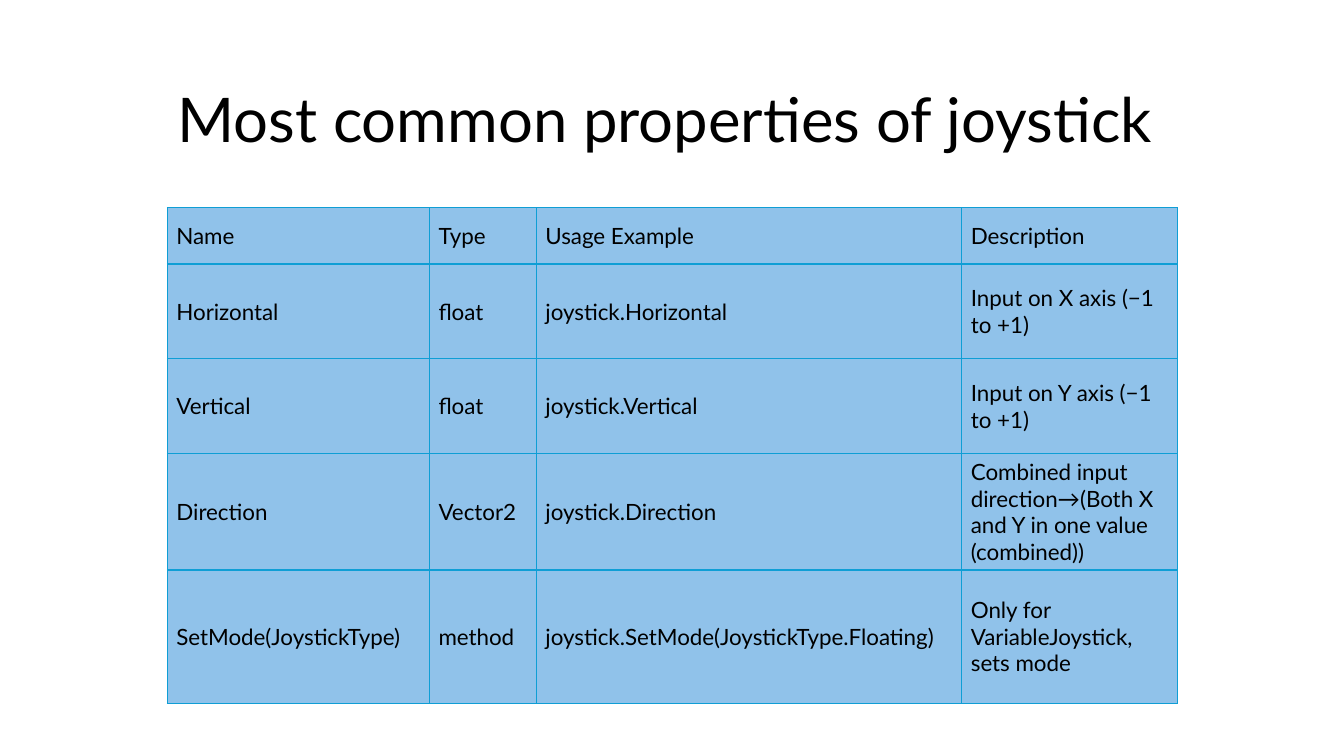
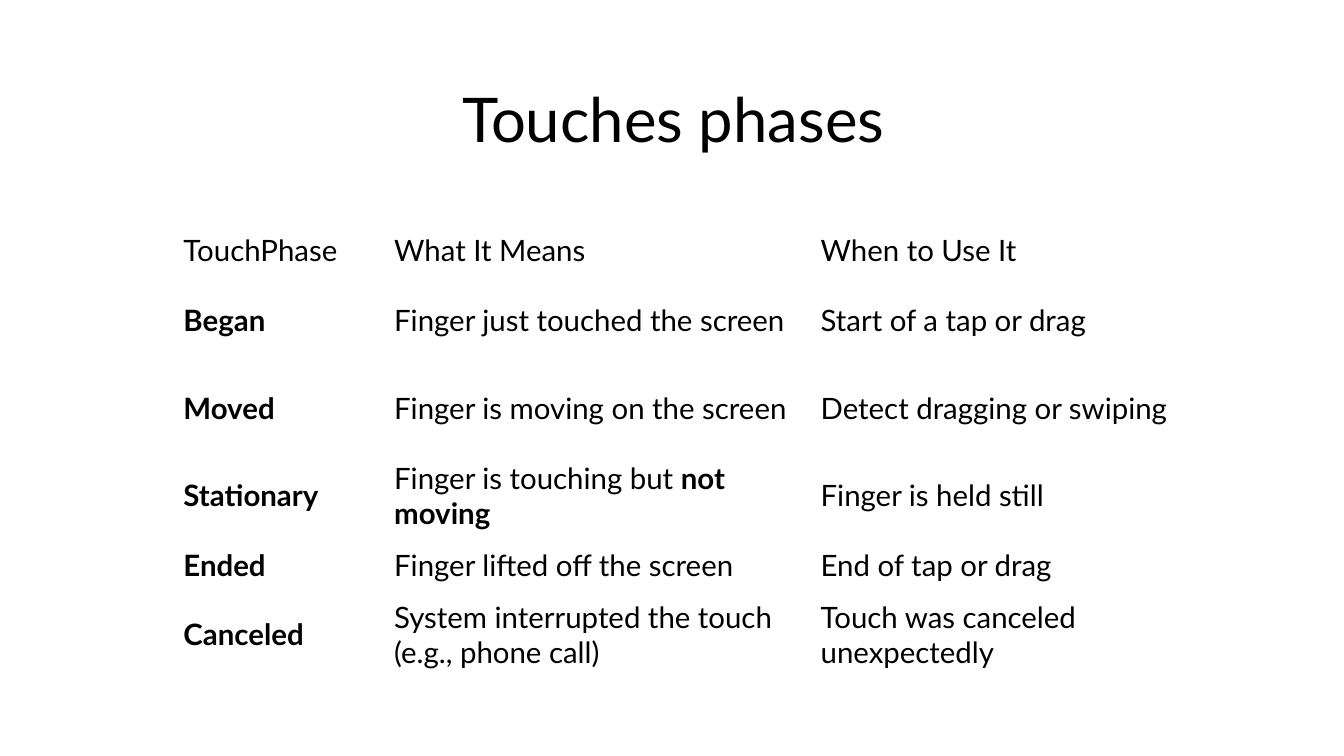
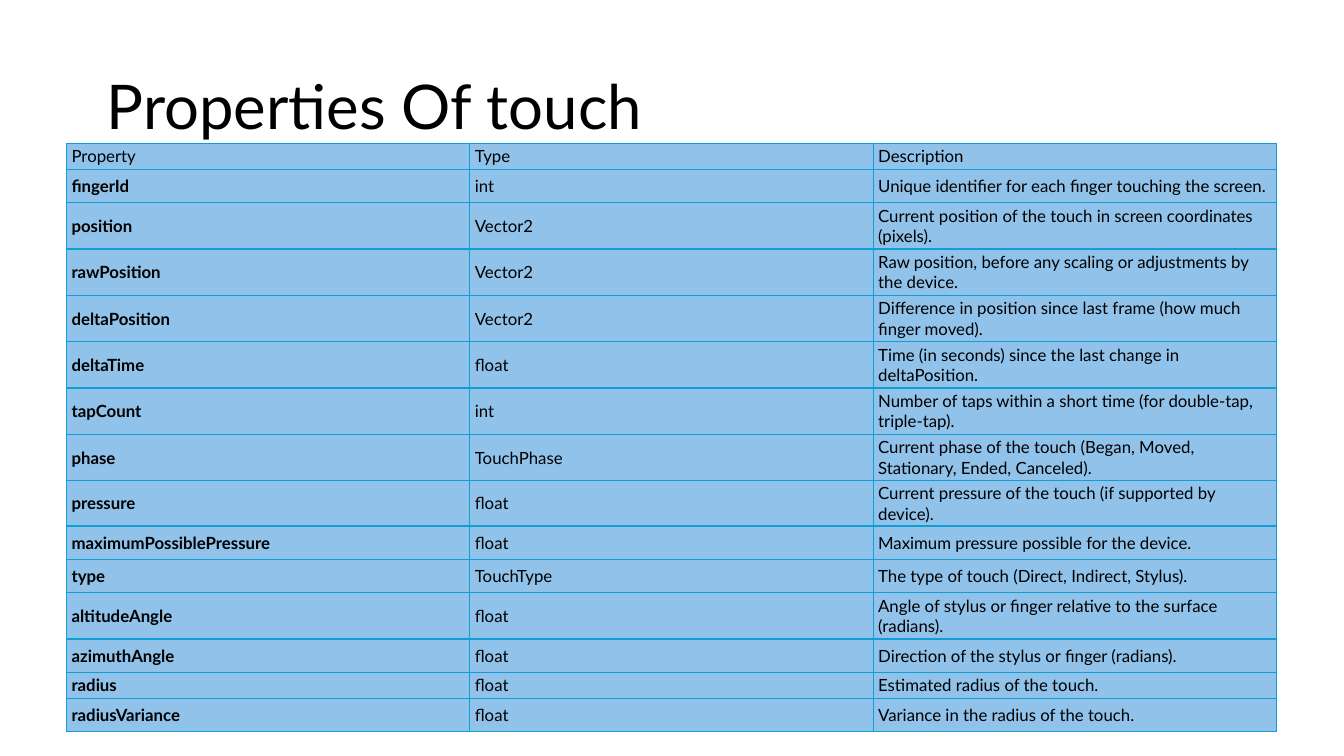
from lxml import etree
from pptx import Presentation
from pptx import util as u
from pptx.dml.color import RGBColor
from pptx.enum import text
from pptx.oxml.ns import qn

FONT = "Lato"
COLORS = {"ink": "000000", "cell": "90C2EA", "border": "0F9ED5"}
PLAIN_STYLE = "{2D5ABB26-0587-4C30-8999-92F81FD0307C}"

JOYSTICK_ROWS = [
    ("Name", "Type", "Usage Example", "Description"),
    ("Horizontal", "float", "joystick.Horizontal", "Input on X axis (−1 to +1)"),
    ("Vertical", "float", "joystick.Vertical", "Input on Y axis (−1 to +1)"),
    ("Direction", "Vector2", "joystick.Direction",
     "Combined input direction→(Both X and Y in one value (combined))"),
    ("SetMode(JoystickType)", "method", "joystick.SetMode(JoystickType.Floating)",
     "Only for VariableJoystick, sets mode"),
]

PHASE_ROWS = [
    ("TouchPhase", "What It Means", "When to Use It"),
    ("**Began**", "Finger just touched the screen", "Start of a tap or drag"),
    ("**Moved**", "Finger is moving on the screen", "Detect dragging or swiping"),
    ("**Stationary**", "Finger is touching but **not moving**", "Finger is held still"),
    ("**Ended**", "Finger lifted off the screen", "End of tap or drag"),
    ("**Canceled**", "System interrupted the touch (e.g., phone call)",
     "Touch was canceled unexpectedly"),
]

TOUCH_ROWS = [
    ("Property", "Type", "Description"),
    ("**fingerId**", "int", "Unique identifier for each finger touching the screen."),
    ("**position**", "Vector2",
     "Current position of the touch in screen coordinates (pixels)."),
    ("**rawPosition**", "Vector2",
     "Raw position, before any scaling or adjustments by the device."),
    ("**deltaPosition**", "Vector2",
     "Difference in position since last frame (how much finger moved)."),
    ("**deltaTime**", "float", "Time (in seconds) since the last change in deltaPosition."),
    ("**tapCount**", "int",
     "Number of taps within a short time (for double-tap, triple-tap)."),
    ("**phase**", "TouchPhase",
     "Current phase of the touch (Began, Moved, Stationary, Ended, Canceled)."),
    ("**pressure**", "float", "Current pressure of the touch (if supported by device)."),
    ("**maximumPossiblePressure**", "float", "Maximum pressure possible for the device."),
    ("**type**", "TouchType", "The type of touch (Direct, Indirect, Stylus)."),
    ("**altitudeAngle**", "float",
     "Angle of stylus or finger relative to the surface (radians)."),
    ("**azimuthAngle**", "float", "Direction of the stylus or finger (radians)."),
    ("**radius**", "float", "Estimated radius of the touch."),
    ("**radiusVariance**", "float", "Variance in the radius of the touch."),
]


def style_font(font, size):
    font.name = FONT
    font.size = u.Pt(size)
    font.color.rgb = RGBColor.from_string(COLORS["ink"])


def add_title(slide, wording, box, align=text.PP_ALIGN.LEFT):
    frame = slide.shapes.add_textbox(*map(u.Inches, box)).text_frame
    frame.word_wrap = True
    frame.vertical_anchor = text.MSO_ANCHOR.MIDDLE
    heading = frame.paragraphs[0]
    heading.text = wording
    heading.alignment = align
    heading.line_spacing = 0.9
    style_font(heading.font, 44)


def add_borders(cell):
    properties = cell._tc.get_or_add_tcPr()
    for side in ("lnL", "lnR", "lnT", "lnB"):
        line = etree.SubElement(properties, qn(f"a:{side}"), w=str(u.Pt(1)))
        fill = etree.SubElement(line, qn("a:solidFill"))
        etree.SubElement(fill, qn("a:srgbClr"), val=COLORS["border"])


def write_cell(cell, wording, size, inset):
    cell.vertical_anchor = text.MSO_ANCHOR.MIDDLE
    cell.margin_left = cell.margin_right = u.Inches(inset)
    cell.margin_top = cell.margin_bottom = u.Inches(inset / 2)
    entry = cell.text_frame.paragraphs[0]
    style_font(entry.font, size)
    for position, part in enumerate(wording.split("**")):
        if part:
            run = entry.add_run()
            run.text = part
            run.font.bold = position % 2 == 1


def add_grid(slide, rows, corner, widths, heights, size, inset, colored=True):
    extent = (sum(widths), sum(heights))
    table = slide.shapes.add_table(
        len(rows), len(widths), *map(u.Inches, (*corner, *extent))).table
    table.first_row = table.horz_banding = False
    table._tbl.tblPr.find(qn("a:tableStyleId")).text = PLAIN_STYLE
    for column, width in zip(table.columns, widths):
        column.width = u.Inches(width)
    for row, height, wordings in zip(table.rows, heights, rows):
        row.height = u.Inches(height)
        for cell, wording in zip(row.cells, wordings):
            write_cell(cell, wording, size, inset)
            if colored:
                add_borders(cell)
                cell.fill.solid()
                cell.fill.fore_color.rgb = RGBColor.from_string(COLORS["cell"])
            else:
                cell.fill.background()


def main():
    deck = Presentation()
    deck.slide_width, deck.slide_height = u.Inches(13.33), u.Inches(7.5)
    joystick, phases, touch = (
        deck.slides.add_slide(deck.slide_layouts[6]) for _ in range(3))

    add_title(joystick, "Most common properties of joystick", (1.66, 0.6, 10.02, 1.24))
    add_grid(joystick, JOYSTICK_ROWS, (1.66, 2.06), (2.6, 1.06, 4.22, 2.14),
             (0.56, 0.94, 0.94, 0.94, 1.32), 16, 0.09)

    add_title(phases, "Touches phases", (1.67, 0.6, 10.02, 1.24), text.PP_ALIGN.CENTER)
    add_grid(phases, PHASE_ROWS, (1.7, 2.23), (2.09, 4.23, 3.95),
             (0.51, 0.87, 0.87, 0.87, 0.51, 0.87), 21, 0.12, colored=False)

    add_title(touch, "Properties Of touch", (0.96, 0.32, 11.46, 1.53))
    tight, single, double = 0.26, 0.33, 0.46
    touch_heights = [tight, single, *[double] * 6, *[single] * 3, double,
                     single, tight, single]
    add_grid(touch, TOUCH_ROWS, (0.66, 1.42), (4, 4, 4), touch_heights, 12, 0.05)

    deck.save("out.pptx")


if __name__ == "__main__":
    main()
